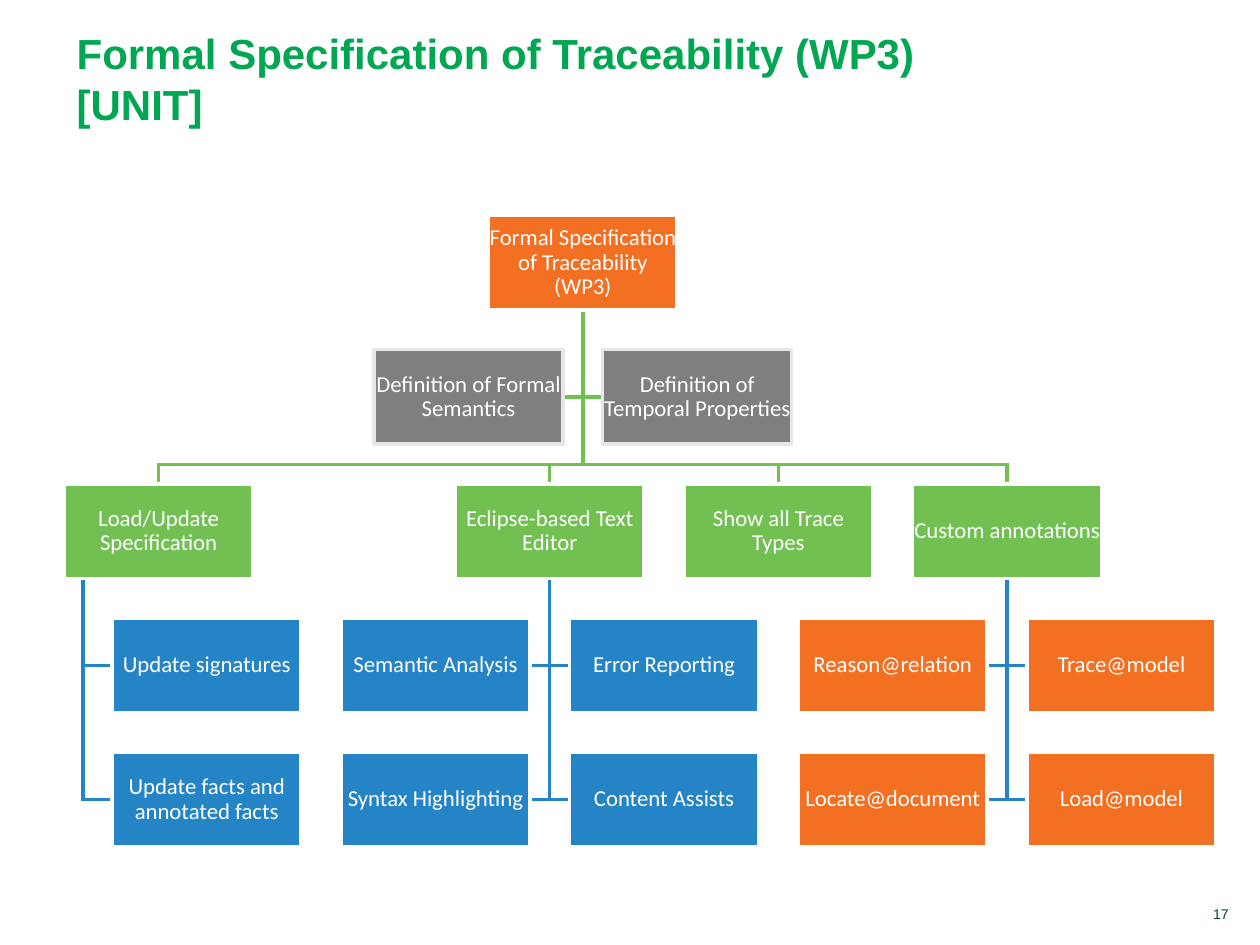
from pptx import Presentation
from pptx import util as u
from pptx.dml.color import RGBColor
from pptx.enum import shapes, text
from pptx.oxml.ns import qn
from lxml import etree

COLORS = {"title": "00A651", "number": "004621", "orange": "F36F21",
          "green": "73C052", "blue": "2484C6", "gray": "7F7F7F",
          "pale": "E7E7E7", "white": "FFFFFF"}
W, H = 10, 7.5
COLS, ROWS = 5, 5
NODE_W, NODE_H = 1.5 / 1.815, 0.75 / 1.065


def rgb(name):
    return RGBColor.from_string(COLORS[name])


def write(sp, value, size=13, font="Calibri", color="white", bold=False,
          align=text.PP_ALIGN.CENTER, anchor=text.MSO_ANCHOR.MIDDLE,
          inset=(0.01, 0.01), spacing=None):
    tf = sp.text_frame
    tf.word_wrap = True
    tf.vertical_anchor = anchor
    tf.margin_left = tf.margin_right = u.Inches(inset[0])
    tf.margin_top = tf.margin_bottom = u.Inches(inset[1])
    p = tf.paragraphs[0]
    p.alignment = align
    if spacing:
        p.line_spacing = spacing
    r = p.add_run()
    r.text = value
    r.font.size, r.font.name, r.font.bold = u.Pt(size), font, bold
    r.font.color.rgb = rgb(color)


def label(s, box, value, **fmt):
    sp = s.shapes.add_textbox(*map(u.Inches, box))
    write(sp, value, font="Arial", anchor=text.MSO_ANCHOR.BOTTOM,
          inset=(0.1, 0.05), **fmt)


def cell(area, col, row):
    x, y, w, h = area
    dx, dy = w / (COLS - 1 + NODE_W), h / (ROWS - 1 + NODE_H)
    return x + col * dx, y + row * dy, NODE_W * dx, NODE_H * dy


def node(s, box, value, fill, line="white"):
    sp = s.shapes.add_shape(shapes.MSO_SHAPE.RECTANGLE, *map(u.Inches, box))
    sp.shadow.inherit = False
    sp.fill.solid()
    sp.fill.fore_color.rgb = rgb(fill)
    sp.line.color.rgb = rgb(line)
    sp.line.width = u.Pt(2)
    write(sp, value, spacing=0.9)


def link(s, points, color):
    start, *rest = [(u.Inches(x), u.Inches(y)) for x, y in points]
    fb = s.shapes.build_freeform(*start)
    fb.add_line_segments(rest, close=False)
    sp = fb.convert_to_shape()
    sp.shadow.inherit = False
    sp.fill.background()
    sp.line.color.rgb = rgb(color)
    sp.line.width = u.Pt(2)
    etree.SubElement(sp.line._get_or_add_ln(), qn("a:miter"), lim="800000")


def side_link(s, spine, top, box, color):
    x, y, w, h = box
    edge = x if x > spine else x + w
    link(s, [(spine, top), (spine, y + h / 2), (edge, y + h / 2)], color)


def root_region(s, area, root, assistants, heads):
    col, value = root
    box = x, y, w, h = cell(area, col, 0)
    cx, bottom = x + w / 2, y + h
    for head_col in heads:
        hx, hy, hw, _ = cell(area, head_col, 2)
        hx += hw / 2
        bend = hy - 0.15 * h - 0.04
        link(s, [(cx, bottom), (cx, bend), (hx, bend), (hx, hy)], "green")
    sides = [cell(area, col + shift, 1) for shift in (-0.5, 0.5)]
    for side in sides:
        side_link(s, cx, bottom, side, "green")
    node(s, box, value, "orange")
    for side, name in zip(sides, assistants):
        node(s, side, name, "gray", "pale")


def branch_region(s, area, head, first_col, rows, fill):
    col, value = head
    box = x, y, w, h = cell(area, col, 2)
    hanging = bool(rows) and len(rows[0]) == 1
    spine = x + w * (0.1 if hanging else 0.5)
    leaves = [(cell(area, first_col + c, 3 + r), name)
              for r, names in enumerate(rows) for c, name in enumerate(names)]
    for leaf, _ in leaves:
        side_link(s, spine, y + h, leaf, "blue")
    node(s, box, value, "green")
    for leaf, name in leaves:
        node(s, leaf, name, fill)


def main():
    prs = Presentation()
    prs.slide_width, prs.slide_height = u.Inches(W), u.Inches(H)
    s = prs.slides.add_slide(prs.slide_layouts[6])

    label(s, (0.51, 0.16, 7.09, 0.91),
          "Formal Specification of Traceability (WP3) [UNIT]",
          size=24, color="title", bold=True, align=text.PP_ALIGN.LEFT)
    label(s, (8.54, 7.14, 1.31, 0.23), "17",
          size=8, color="number", align=text.PP_ALIGN.RIGHT)

    area = (0.89, 1.71, 8.76, 5.01)
    branches = [
        ((-0.21, "Load/Update Specification"), 0,
         [["Update signatures"], ["Update facts and annotated facts"]], "blue"),
        ((1.5, "Eclipse-based Text Editor"), 1,
         [["Semantic Analysis", "Error Reporting"],
          ["Syntax Highlighting", "Content Assists"]], "blue"),
        ((2.5, "Show all Trace Types"), 2, [], "blue"),
        ((3.5, "Custom annotations"), 3,
         [["Reason@relation", "Trace@model"],
          ["Locate@document", "Load@model"]], "orange"),
    ]
    heads = [head[0] for head, *_ in branches]
    root_col = (heads[0] + heads[-1]) / 2
    root_region(s, area, (root_col, "Formal Specification of Traceability (WP3)"),
                ["Definition of Formal Semantics",
                 "Definition of Temporal Properties"], heads)
    for branch in branches:
        branch_region(s, area, *branch)

    prs.save("out.pptx")


if __name__ == "__main__":
    main()
